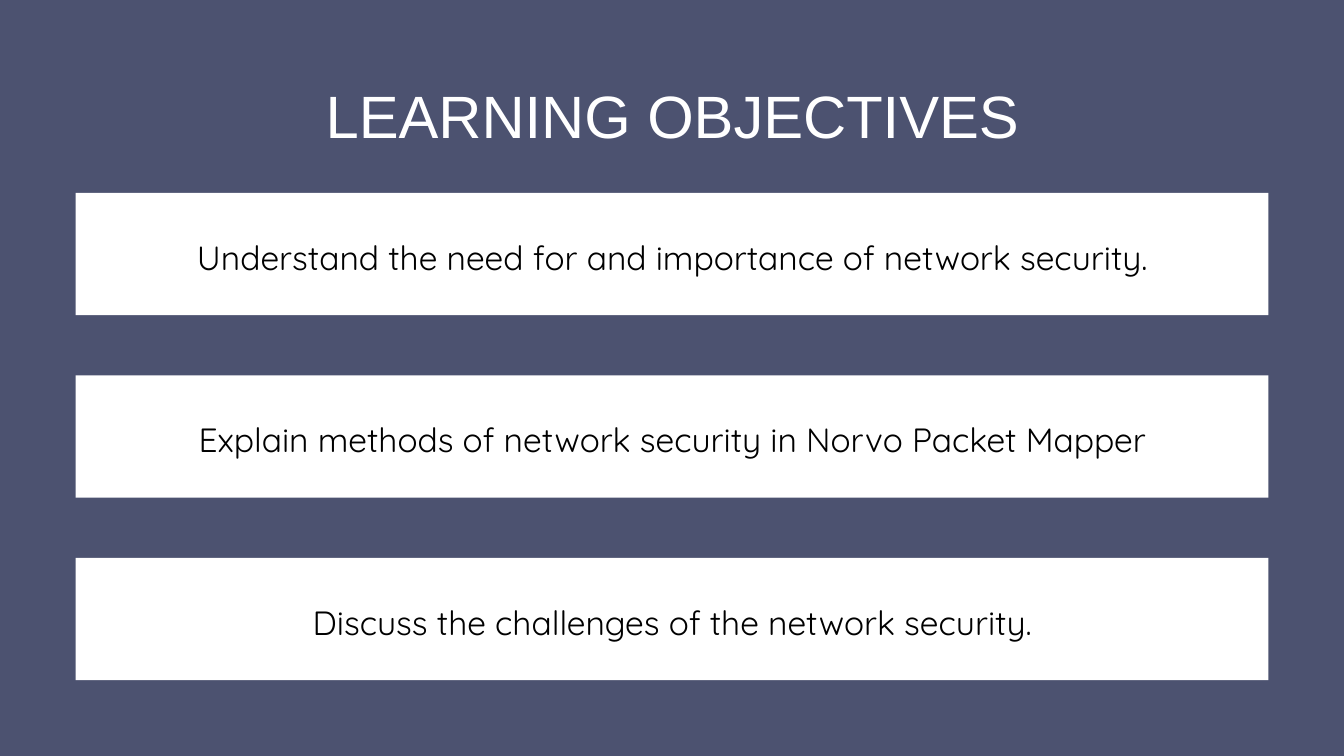
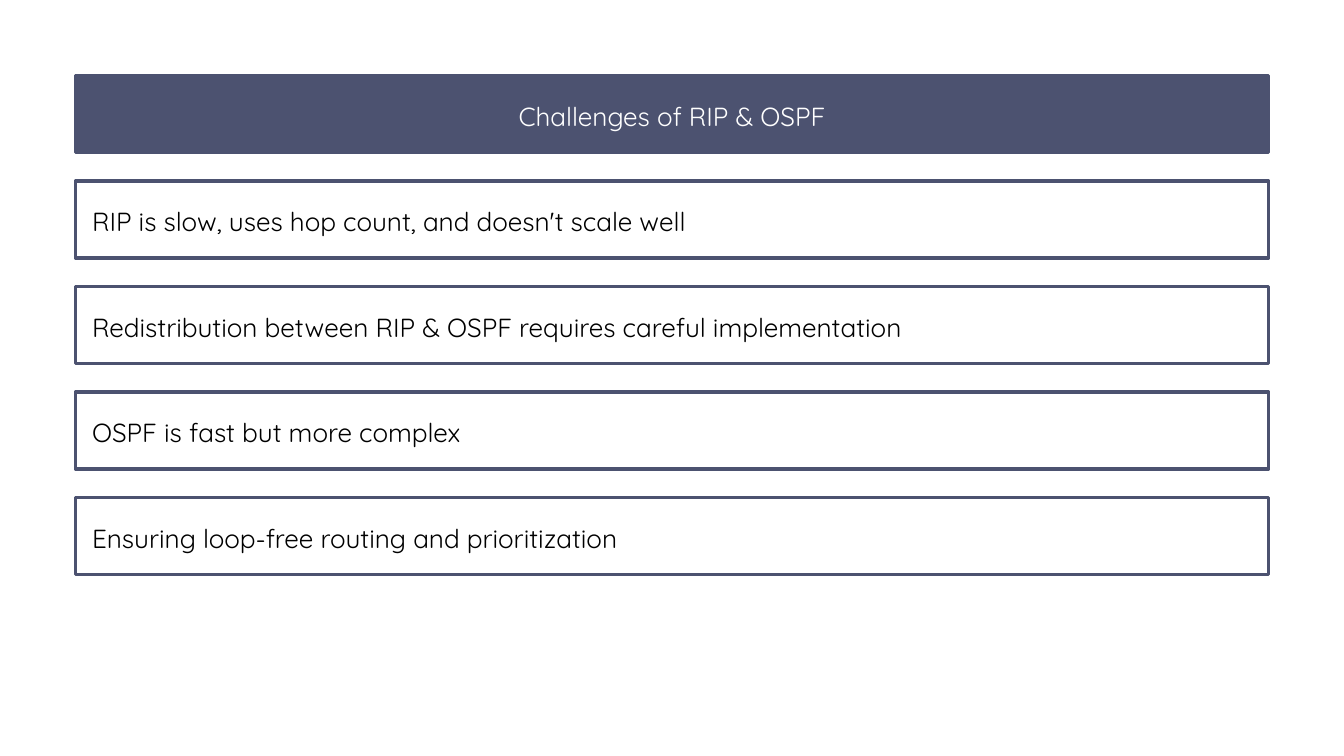
from dataclasses import dataclass

from pptx import Presentation
from pptx.dml.color import RGBColor
from pptx.enum.shapes import MSO_SHAPE
from pptx.enum.text import MSO_AUTO_SIZE, PP_ALIGN
from pptx.presentation import Presentation as Deck
from pptx.slide import Slide
from pptx.util import Inches, Pt

RECTANGLE = MSO_SHAPE.RECTANGLE
GROW = MSO_AUTO_SIZE.SHAPE_TO_FIT_TEXT
LEFT, CENTER = PP_ALIGN.LEFT, PP_ALIGN.CENTER

COLORS = {"slate": "4C5270", "white": "FFFFFF", "black": "000000"}
HEADING_FONT, BODY_FONT = "Arial", "Quicksand"
BAND_LEFT, BAND_WIDTH = 1.125, 17.75
BORDER_POINTS = 3.75


@dataclass(frozen=True)
class Objective:
    text: str


@dataclass(frozen=True)
class Challenge:
    text: str
    width: float = 11.06


OBJECTIVES = [
    Objective("Understand the need for and importance of network security."),
    Objective("Explain methods of network security in Norvo Packet Mapper"),
    Objective("Discuss the challenges of the network security."),
]
OBJECTIVE_TOP, OBJECTIVE_STEP, OBJECTIVE_HEIGHT = 2.87, 2.715, 1.82

CHALLENGES = [
    Challenge("RIP is slow, uses hop count, and doesn't scale well"),
    Challenge("Redistribution between RIP & OSPF requires careful implementation", 13.6),
    Challenge("OSPF is fast but more complex"),
    Challenge("Ensuring loop-free routing and prioritization"),
]
CHALLENGE_TOP, CHALLENGE_STEP, CHALLENGE_HEIGHT = 1.125, 1.57, 1.145


def color(name: str) -> RGBColor:
    return RGBColor.from_string(COLORS[name])


def add_page(deck: Deck, background: str) -> Slide:
    page = deck.slides.add_slide(deck.slide_layouts[6])
    page.background.fill.solid()
    page.background.fill.fore_color.rgb = color(background)
    return page


def add_band(page: Slide, top: float, height: float, *,
             fill: str | None = None, border: str | None = None) -> None:
    band = page.shapes.add_shape(
        RECTANGLE, Inches(BAND_LEFT), Inches(top), Inches(BAND_WIDTH), Inches(height))
    band.shadow.inherit = False
    if fill:
        band.fill.solid()
        band.fill.fore_color.rgb = color(fill)
    else:
        band.fill.background()
    if border:
        band.line.color.rgb = color(border)
        band.line.width = Pt(BORDER_POINTS)
    else:
        band.line.fill.background()


def add_text(page: Slide, text: str, left: float, top: float, width: float,
             height: float, *, size: float, spacing: float, ink: str = "black",
             font: str = BODY_FONT, align: PP_ALIGN = CENTER) -> None:
    box = page.shapes.add_textbox(
        Inches(left), Inches(top), Inches(width), Inches(height))
    frame = box.text_frame
    frame.word_wrap = True
    frame.auto_size = GROW
    frame.margin_left = frame.margin_right = Inches(0)
    frame.margin_top = frame.margin_bottom = Inches(0)
    para = frame.paragraphs[0]
    para.alignment = align
    para.line_spacing = Pt(spacing)
    span = para.add_run()
    span.text = text
    span.font.name = font
    span.font.size = Pt(size)
    span.font.color.rgb = color(ink)


def build_objectives(deck: Deck) -> None:
    page = add_page(deck, "slate")
    add_text(page, "LEARNING OBJECTIVES", 1.54, 1, 16.93, 1.19,
             size=64, spacing=89.6, ink="white", font=HEADING_FONT)
    for index, objective in enumerate(OBJECTIVES):
        top = OBJECTIVE_TOP + index * OBJECTIVE_STEP
        add_band(page, top, OBJECTIVE_HEIGHT, fill="white")
        add_text(page, objective.text, 1.54, top + 0.5, 16.93, 0.7,
                 size=36, spacing=54)


def build_challenges(deck: Deck) -> None:
    page = add_page(deck, "white")
    add_band(page, CHALLENGE_TOP, CHALLENGE_HEIGHT, fill="slate", border="slate")
    add_text(page, "Challenges of RIP & OSPF", 2.09, CHALLENGE_TOP + 0.25, 15.82, 0.55,
             size=28, spacing=42, ink="white")
    for index, challenge in enumerate(CHALLENGES, start=1):
        top = CHALLENGE_TOP + index * CHALLENGE_STEP
        add_band(page, top, CHALLENGE_HEIGHT, border="slate")
        add_text(page, challenge.text, 1.37, top + 0.25, challenge.width, 1.12,
                 size=28, spacing=42, align=LEFT)


def main() -> None:
    deck = Presentation()
    deck.slide_width, deck.slide_height = Inches(20), Inches(11.25)
    build_objectives(deck)
    build_challenges(deck)
    deck.save("out.pptx")


if __name__ == "__main__":
    main()
